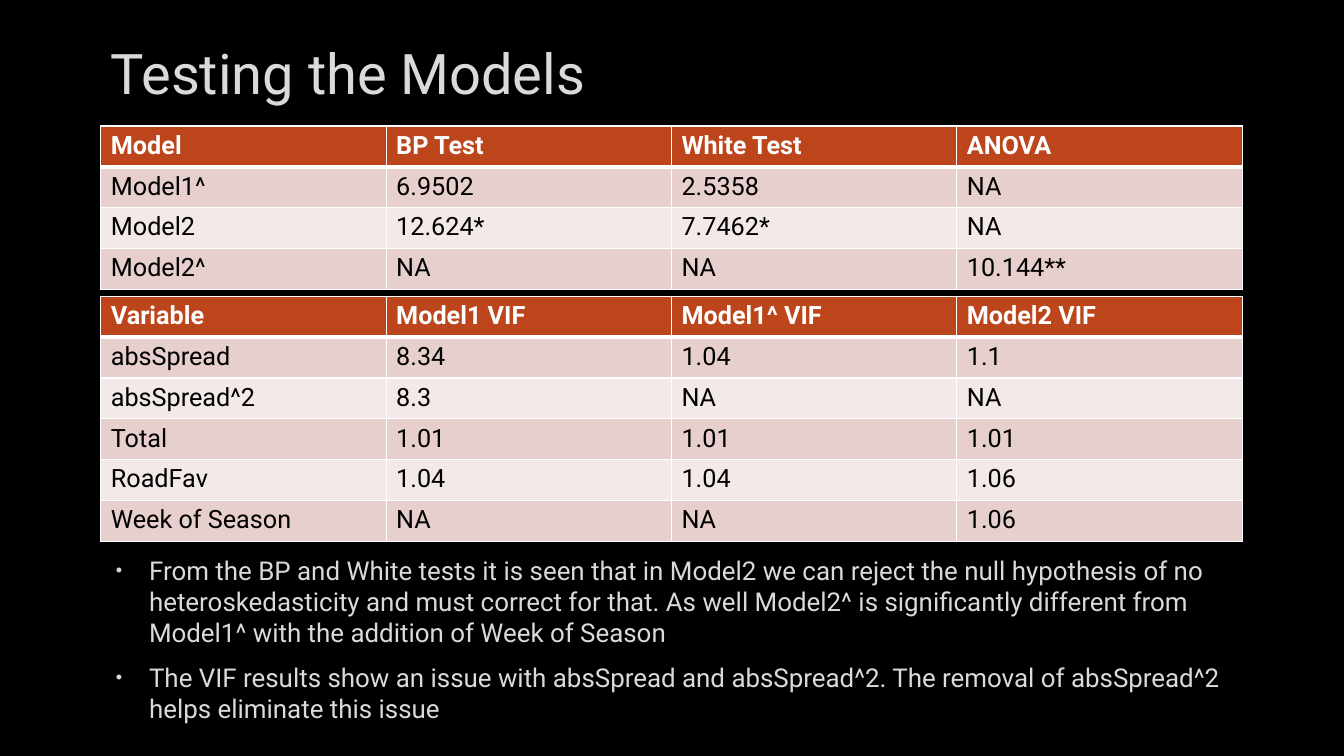
from lxml import etree
from pptx import Presentation
from pptx.dml.color import RGBColor
from pptx.enum.text import MSO_ANCHOR
from pptx.oxml.ns import qn
from pptx.util import Inches, Pt

MIDDLE = MSO_ANCHOR.MIDDLE
TOP = MSO_ANCHOR.TOP
FONT = "Roboto"
COLORS = {
    "background": "000000",
    "text": "DADADA",
    "header": "BC451B",
    "header_text": "FFFFFF",
    "odd_row": "E7CFCD",
    "even_row": "F3E9E8",
    "cell_text": "000000",
    "border": "FFFFFF",
}
LEFT, WIDTH = 1, 11.32
ROW_HEIGHT = 0.405

TESTS = [
    ("Model", "BP Test", "White Test", "ANOVA"),
    ("Model1^", "6.9502", "2.5358", "NA"),
    ("Model2", "12.624*", "7.7462*", "NA"),
    ("Model2^", "NA", "NA", "10.144**"),
]
INFLATION_FACTORS = [
    ("Variable", "Model1 VIF", "Model1^ VIF", "Model2 VIF"),
    ("absSpread", "8.34", "1.04", "1.1"),
    ("absSpread^2", "8.3", "NA", "NA"),
    ("Total", "1.01", "1.01", "1.01"),
    ("RoadFav", "1.04", "1.04", "1.06"),
    ("Week of Season", "NA", "NA", "1.06"),
]
FINDINGS = [
    "From the BP and White tests it is seen that in Model2 we can reject the null "
    "hypothesis of no heteroskedasticity and must correct for that. As well Model2^ is "
    "significantly different from Model1^ with the addition of Week of Season",
    "The VIF results show an issue with absSpread and absSpread^2. The removal of "
    "absSpread^2 helps eliminate this issue",
]


def color(name):
    return RGBColor.from_string(COLORS[name])


def add_run(paragraph, text, size, color_name, bold=False):
    run = paragraph.add_run()
    run.text = text
    run.font.name = FONT
    run.font.size = Pt(size)
    run.font.bold = bold
    run.font.color.rgb = color(color_name)


def add_text_frame(slide, box, anchor):
    frame = slide.shapes.add_textbox(*map(Inches, box)).text_frame
    frame.word_wrap = True
    frame.vertical_anchor = anchor
    return frame


def add_title(slide, box, text):
    frame = add_text_frame(slide, box, MIDDLE)
    add_run(frame.paragraphs[0], text, 40, "text")


def add_bullet(paragraph):
    properties = paragraph._p.get_or_add_pPr()
    properties.set("marL", str(Inches(0.38)))
    properties.set("indent", str(Inches(-0.33)))
    bullet_color = etree.SubElement(properties, qn("a:buClr"))
    etree.SubElement(bullet_color, qn("a:srgbClr"), val=COLORS["text"])
    etree.SubElement(properties, qn("a:buSzPct"), val="70000")
    etree.SubElement(properties, qn("a:buFont"), typeface="Arial")
    etree.SubElement(properties, qn("a:buChar"), char="•")


def add_findings(slide, box, findings):
    frame = add_text_frame(slide, box, TOP)
    for index, finding in enumerate(findings):
        paragraph = frame.add_paragraph() if index else frame.paragraphs[0]
        paragraph.space_before = Pt(3.7)
        paragraph.space_after = Pt(6)
        add_bullet(paragraph)
        add_run(paragraph, finding, 18.5, "text")


def set_borders(cell, widths):
    properties = cell._tc.get_or_add_tcPr()
    for side, width in widths.items():
        line = etree.SubElement(properties, qn(f"a:ln{side}"), w=str(Pt(width)))
        fill = etree.SubElement(line, qn("a:solidFill"))
        etree.SubElement(fill, qn("a:srgbClr"), val=COLORS["border"])


def add_results_table(slide, box, rows):
    frame = slide.shapes.add_table(len(rows), len(rows[0]), *map(Inches, box))
    table = frame.table
    table.horz_banding = False
    for row_index, values in enumerate(rows):
        is_header = row_index == 0
        if is_header:
            fill_name, text_name = "header", "header_text"
        else:
            fill_name = "odd_row" if row_index % 2 else "even_row"
            text_name = "cell_text"
        widths = {"L": 1, "R": 1, "T": 3 if row_index == 1 else 1, "B": 3 if is_header else 1}
        for column_index, value in enumerate(values):
            cell = table.cell(row_index, column_index)
            set_borders(cell, widths)
            cell.fill.solid()
            cell.fill.fore_color.rgb = color(fill_name)
            add_run(cell.text_frame.paragraphs[0], value, 18, text_name, is_header)


def build_testing_slide(presentation):
    slide = presentation.slides.add_slide(presentation.slide_layouts[6])
    slide.background.fill.solid()
    slide.background.fill.fore_color.rgb = color("background")
    add_title(slide, (LEFT, 0.19, WIDTH, 1.06), "Testing the Models")
    add_findings(slide, (LEFT, 5.45, WIDTH, 1.62), FINDINGS)
    for top, rows in ((1.25, TESTS), (2.94, INFLATION_FACTORS)):
        add_results_table(slide, (LEFT, top, WIDTH, ROW_HEIGHT * len(rows)), rows)


def main():
    presentation = Presentation()
    presentation.slide_width = Inches(13.33)
    presentation.slide_height = Inches(7.5)
    build_testing_slide(presentation)
    presentation.save("out.pptx")


if __name__ == "__main__":
    main()
